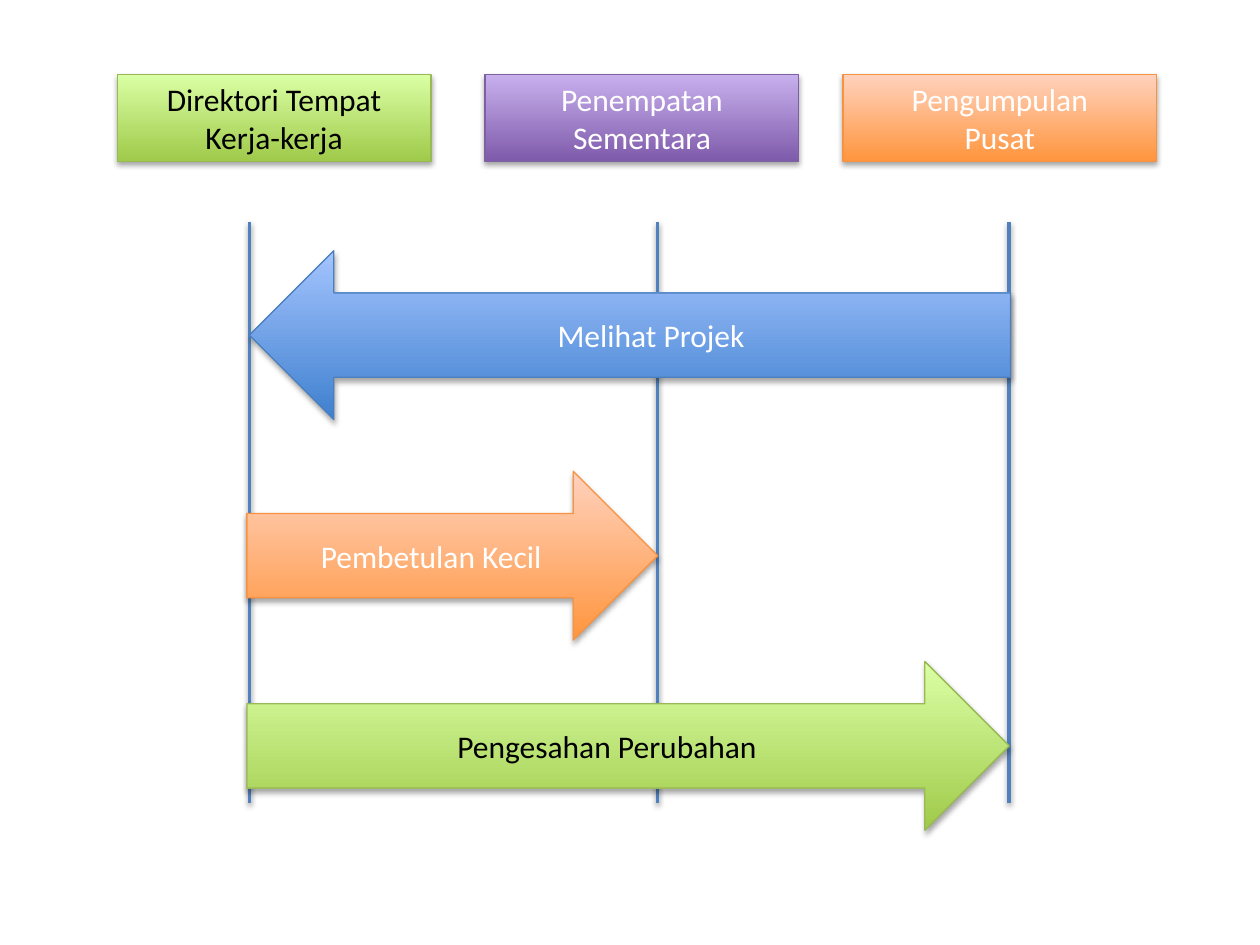
"""Build a sequence slide of three work areas and the transfers between them."""
import lxml.etree
import pptx
import pptx.dml.color
import pptx.enum.shapes
import pptx.enum.text
import pptx.oxml.ns
import pptx.util

Inches = pptx.util.Inches
Shape = pptx.enum.shapes.MSO_SHAPE

COLORS = {
    "green": ("A0CA4A", "DAFFA5", "98B955"),
    "purple": ("7F5BAB", "C8B0ED", "7D60A0"),
    "orange": ("FF953E", "FFD2BD", "F69240"),
    "blue": ("3F80CE", "A4C4FF", "4B7EBC"),
    "lifeline": "4F81BD",
    "black": "000000",
    "white": "FFFFFF",
}


def add_shadow(item, distance, opacity):
    qn = pptx.oxml.ns.qn
    effects = lxml.etree.SubElement(item.element.spPr, qn("a:effectLst"))
    shadow = lxml.etree.SubElement(
        effects, qn("a:outerShdw"), blurRad="40000", dist=str(distance),
        dir="5400000", rotWithShape="0")
    tint = lxml.etree.SubElement(shadow, qn("a:srgbClr"), val=COLORS["black"])
    lxml.etree.SubElement(tint, qn("a:alpha"), val=str(opacity * 1000))


def add_label(text, *, kind, left, top, width, height, palette, ink="white"):
    rgb = pptx.dml.color.RGBColor.from_string
    label = slide.shapes.add_shape(
        kind, Inches(left), Inches(top), Inches(width), Inches(height))
    *gradient, outline = COLORS[palette]
    label.fill.gradient()
    label.fill.gradient_angle = 90
    for stop, color in zip(label.fill.gradient_stops, gradient):
        stop.color.rgb = rgb(color)
    label.line.color.rgb = rgb(outline)
    label.line.width = pptx.util.Pt(0.75)
    add_shadow(label, 23000, 35)
    frame = label.text_frame
    frame.text = text
    frame.word_wrap = True
    frame.vertical_anchor = pptx.enum.text.MSO_ANCHOR.MIDDLE
    for paragraph in frame.paragraphs:
        paragraph.alignment = pptx.enum.text.PP_ALIGN.CENTER
        paragraph.font.name = "Calibri"
        paragraph.font.size = pptx.util.Pt(18)
        paragraph.font.color.rgb = rgb(COLORS[ink])


deck = pptx.Presentation()
deck.slide_width = Inches(10)
deck.slide_height = Inches(7.5)
slide = deck.slides.add_slide(deck.slide_layouts[6])

areas = [
    ("Direktori Tempat Kerja-kerja", 0.93, "green", "black"),
    ("Penempatan Sementara", 3.85, "purple", "white"),
    ("Pengumpulan\nPusat", 6.69, "orange", "white"),
]
for name, left, palette, ink in areas:
    add_label(name, kind=Shape.RECTANGLE, left=left, top=0.59, width=2.49,
              height=0.69, palette=palette, ink=ink)

for x in (1.98, 5.22, 8.01):
    lifeline = slide.shapes.add_connector(
        pptx.enum.shapes.MSO_CONNECTOR.STRAIGHT,
        Inches(x), Inches(1.76), Inches(x), Inches(6.37))
    lifeline.line.color.rgb = pptx.dml.color.RGBColor.from_string(COLORS["lifeline"])
    lifeline.line.width = pptx.util.Pt(2)
    add_shadow(lifeline, 20000, 38)

transfers = [
    ("Melihat Projek", Shape.LEFT_ARROW, 1.98, 1.99, 6.04, "blue", "white"),
    ("Pembetulan Kecil", Shape.RIGHT_ARROW, 1.96, 3.74, 3.26, "orange", "white"),
    ("Pengesahan Perubahan", Shape.RIGHT_ARROW, 1.96, 5.25, 6.05, "green", "black"),
]
for action, kind, left, top, width, palette, ink in transfers:
    add_label(action, kind=kind, left=left, top=top, width=width,
              height=1.34, palette=palette, ink=ink)

deck.save("out.pptx")
